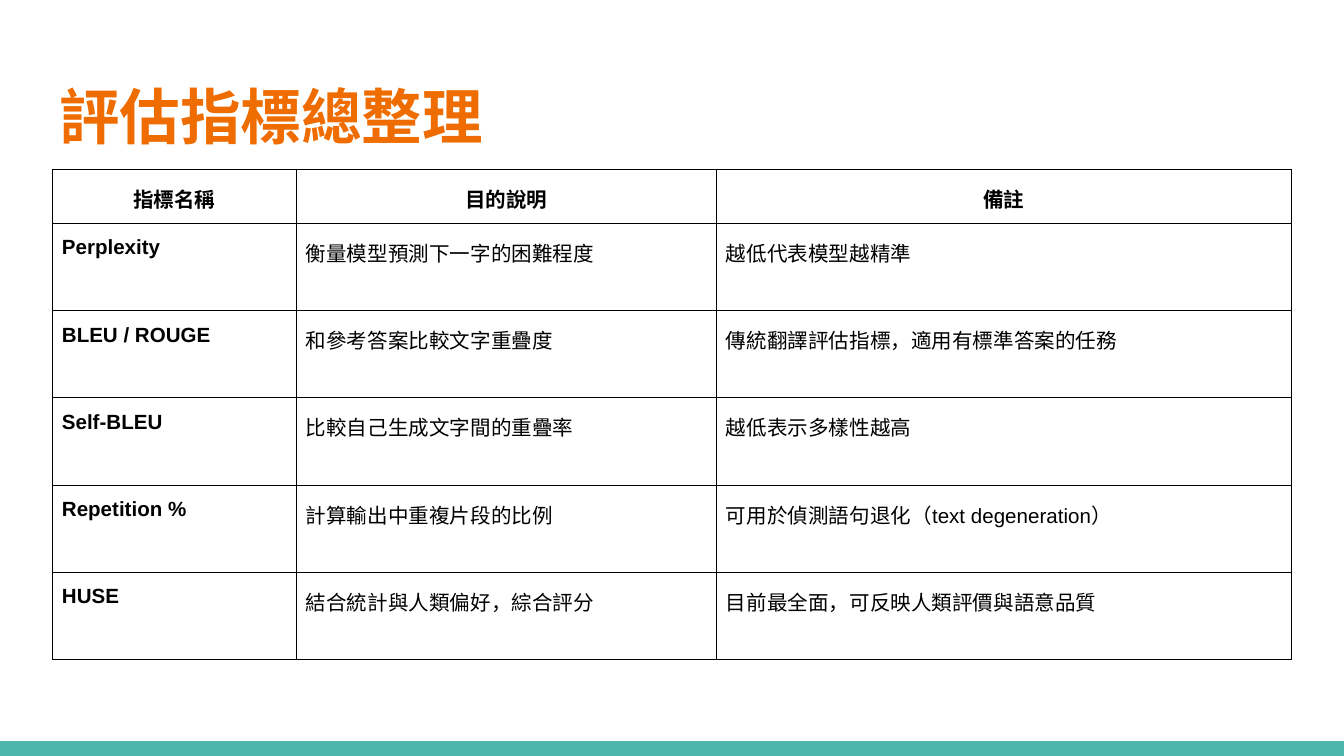
from lxml import etree
from pptx import Presentation
from pptx import util as u
from pptx.dml.color import RGBColor
from pptx.enum import shapes, text
from pptx.oxml import ns


def rgb(value):
    return RGBColor.from_string(value)


class Deck:
    TITLE_FONT, BODY_FONT = "Roboto Condensed", "Arial"
    ORANGE, TEAL, BLACK = "EF6C00", "4DB6AC", "000000"
    INSET = u.Cm(0.18)

    def __init__(self, prs):
        self.prs = prs
        self.s = prs.slides.add_slide(prs.slide_layouts[5])

    def run(self, p, words, font, size, color, bold):
        r = p.add_run()
        r.text = words
        r.font.name, r.font.size, r.font.bold = font, u.Pt(size), bold
        r.font.color.rgb = rgb(color)

    def title(self, words, left, top, width, height):
        sp = self.s.shapes.title
        sp.left, sp.top, sp.width, sp.height = map(u.Cm, (left, top, width, height))
        tf = sp.text_frame
        tf.auto_size = text.MSO_AUTO_SIZE.NONE
        tf.vertical_anchor = text.MSO_ANCHOR.TOP
        tf.margin_left = tf.margin_right = tf.margin_top = tf.margin_bottom = u.Cm(0.25)
        p = tf.paragraphs[0]
        p.alignment = text.PP_ALIGN.LEFT
        self.run(p, words, self.TITLE_FONT, 32.4, self.ORANGE, True)

    def bar(self, top, height):
        sp = self.s.shapes.add_shape(
            shapes.MSO_SHAPE.RECTANGLE, 0, u.Cm(top), self.prs.slide_width, u.Cm(height))
        sp.shadow.inherit = False
        sp.fill.solid()
        sp.fill.fore_color.rgb = rgb(self.TEAL)
        sp.line.fill.background()

    def borders(self, cell):
        props = cell._tc.get_or_add_tcPr()
        for side in ("a:lnL", "a:lnR", "a:lnT", "a:lnB"):
            line = etree.SubElement(props, ns.qn(side), w=str(u.Pt(0.75)))
            fill = etree.SubElement(line, ns.qn("a:solidFill"))
            etree.SubElement(fill, ns.qn("a:srgbClr"), val=self.BLACK)

    def cell(self, cell, words, header, bold):
        self.borders(cell)
        cell.fill.background()
        cell.margin_left = cell.margin_right = self.INSET
        cell.margin_top = cell.margin_bottom = self.INSET
        p = cell.text_frame.paragraphs[0]
        p.alignment = text.PP_ALIGN.CENTER if header else text.PP_ALIGN.LEFT
        p.line_spacing = 1.15
        p.space_before = p.space_after = u.Pt(12)
        self.run(p, words, self.BODY_FONT, 11, self.BLACK, bold)

    def table(self, rows, left, top, widths, heights):
        frame = self.s.shapes.add_table(
            len(rows), len(widths), u.Cm(left), u.Cm(top),
            u.Cm(sum(widths)), u.Cm(sum(heights)))
        table = frame.table
        table.first_row = table.horz_banding = False
        for column, width in zip(table.columns, widths):
            column.width = u.Cm(width)
        for i, (row, height) in enumerate(zip(rows, heights)):
            table.rows[i].height = u.Cm(height)
            for j, words in enumerate(row):
                self.cell(table.cell(i, j), words, i == 0, i == 0 or j == 0)


METRICS = [
    ("指標名稱", "目的說明", "備註"),
    ("Perplexity", "衡量模型預測下一字的困難程度", "越低代表模型越精準"),
    ("BLEU / ROUGE", "和參考答案比較文字重疊度", "傳統翻譯評估指標，適用有標準答案的任務"),
    ("Self-BLEU", "比較自己生成文字間的重疊率", "越低表示多樣性越高"),
    ("Repetition %", "計算輸出中重複片段的比例", "可用於偵測語句退化（text degeneration）"),
    ("HUSE", "結合統計與人類偏好，綜合評分", "目前最全面，可反映人類評價與語意品質"),
]


def main():
    prs = Presentation()
    prs.slide_width, prs.slide_height = u.Cm(25.4), u.Cm(14.29)
    deck = Deck(prs)
    deck.bar(14.01, 0.28)
    deck.title("評估指標總整理", 0.87, 1.25, 23.67, 1.95)
    heights = [1.02] + [1.65] * (len(METRICS) - 1)
    deck.table(METRICS, 0.99, 3.2, (4.61, 7.94, 10.87), heights)
    prs.save("out.pptx")


if __name__ == "__main__":
    main()
